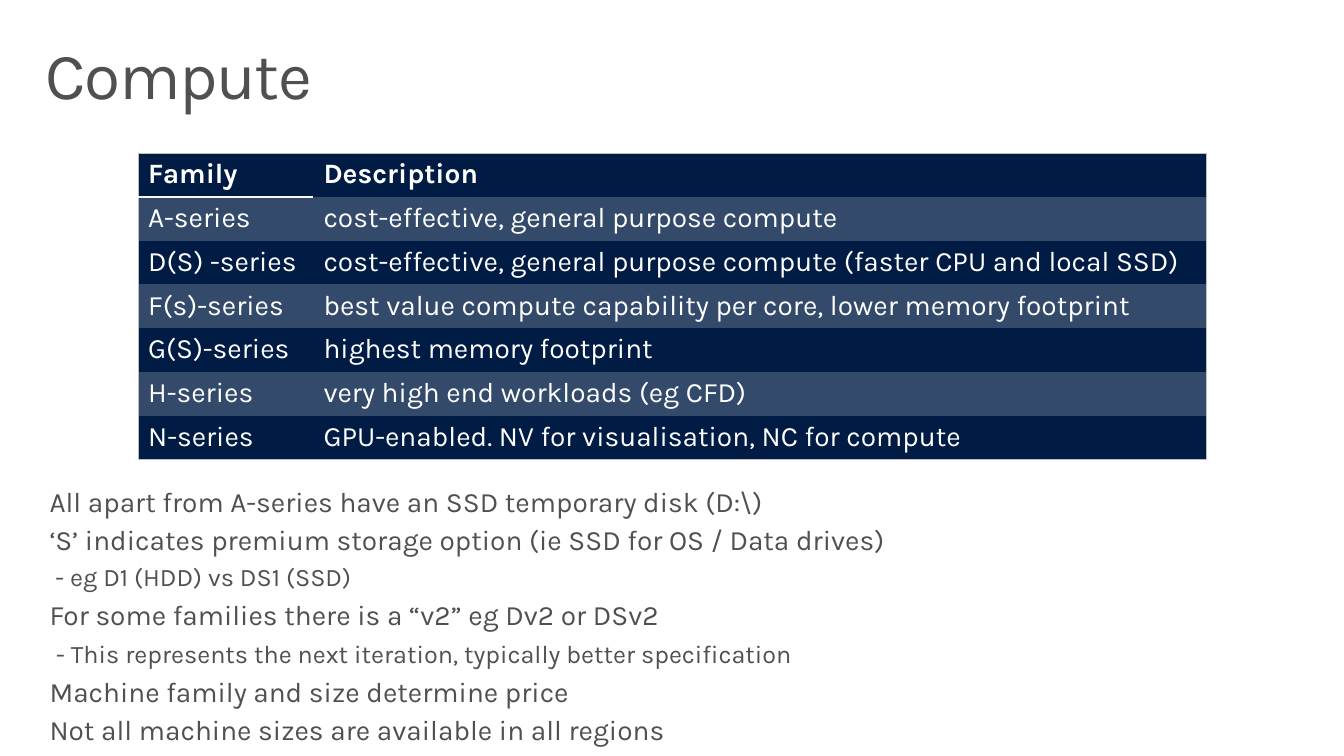
from dataclasses import dataclass

from lxml import etree
from pptx import Presentation
from pptx.dml.color import RGBColor
from pptx.enum.text import MSO_ANCHOR, MSO_AUTO_SIZE
from pptx.oxml.ns import qn
from pptx.util import Pt

TOP = MSO_ANCHOR.TOP
GROW = MSO_AUTO_SIZE.SHAPE_TO_FIT_TEXT
FACE = "Karla"
HUES = {"text": "505050", "white": "FFFFFF", "navy": "001C45",
        "slate": "334A6B", "frame": "BDBDC2", "rule": "F9F9F9"}
WIDTHS = (125.3, 637.9)
ROW = 30.6


@dataclass
class Box:
    left: float
    top: float
    width: float
    height: float


@dataclass
class Line:
    text: str
    size: float = 20
    lead: str = ""
    after: float = 6
    track: int = 0


@dataclass
class Edge:
    hue: str
    width: float


FRAME = Edge("frame", 0.75)
RULE = Edge("rule", 1.35)

ROWS = [
    ("Family", "Description"),
    ("A-series", "cost-effective, general purpose compute"),
    ("D(S) -series", "cost-effective, general purpose compute (faster CPU and local SSD)"),
    ("F(s)-series", "best value compute capability per core, lower memory footprint"),
    ("G(S)-series", "highest memory footprint"),
    ("H-series", "very high end workloads (eg CFD)"),
    ("N-series", "GPU-enabled. NV for visualisation, NC for compute"),
]
TITLE = [Line("Compute", 47, after=0, track=-100)]
NOTES = [
    Line("All apart from A-series have an SSD temporary disk (D:\\)"),
    Line("‘S’ indicates premium storage option (ie SSD for OS / Data drives)"),
    Line(" - eg D1 (HDD) vs DS1 (SSD)", 18),
    Line("For some families there is a “v2” eg Dv2 or DSv2"),
    Line("- This represents the next iteration, typically better specification", 18, " "),
    Line("Machine family and size determine price"),
    Line("Not all machine sizes are available in all regions"),
]


def color(name: str) -> RGBColor:
    return RGBColor.from_string(HUES[name])


def style(para, size: float, hue: str, bold: bool = False) -> None:
    font = para.font
    font.name, font.size, font.bold = FACE, Pt(size), bold
    font.color.rgb = color(hue)


def add_text(slide, box: Box, lines: list[Line], pad_x: float, pad_y: float):
    shape = slide.shapes.add_textbox(
        Pt(box.left), Pt(box.top), Pt(box.width), Pt(box.height))
    frame = shape.text_frame
    frame.word_wrap = True
    frame.vertical_anchor = TOP
    frame.margin_left = frame.margin_right = Pt(pad_x)
    frame.margin_top = frame.margin_bottom = Pt(pad_y)
    for i, line in enumerate(lines):
        para = frame.add_paragraph() if i else frame.paragraphs[0]
        para.line_spacing = 0.9
        para.space_after = Pt(line.after)
        style(para, line.size, "text")
        if line.lead:
            lead = para.add_run()
            lead.text = line.lead
            lead.font.size = Pt(20)
        run = para.add_run()
        run.text = line.text
        if line.track:
            run._r.get_or_add_rPr().set("spc", str(line.track))
    return frame


def set_edges(cell, edges: dict[str, Edge | None]) -> None:
    props = cell._tc.get_or_add_tcPr()
    for i, (side, edge) in enumerate(edges.items()):
        node = etree.Element(qn(f"a:ln{side}"))
        if edge:
            node.set("w", str(Pt(edge.width)))
            fill = etree.SubElement(node, qn("a:solidFill"))
            etree.SubElement(fill, qn("a:srgbClr"), val=HUES[edge.hue])
        else:
            node.set("w", "0")
            etree.SubElement(node, qn("a:noFill"))
        props.insert(i, node)


def add_grid(slide, left: float, top: float) -> None:
    grid = slide.shapes.add_table(
        len(ROWS), len(WIDTHS), Pt(left), Pt(top),
        Pt(sum(WIDTHS)), Pt(ROW * len(ROWS))).table
    for col, width in zip(grid.columns, WIDTHS):
        col.width = Pt(width)
    last = len(ROWS) - 1
    for r, texts in enumerate(ROWS):
        grid.rows[r].height = Pt(ROW)
        for c, text in enumerate(texts):
            cell = grid.cell(r, c)
            cell.text = text
            style(cell.text_frame.paragraphs[0], 20, "white", r == 0)
            cell.fill.solid()
            cell.fill.fore_color.rgb = color("slate" if r % 2 else "navy")
            rule = RULE if c == 0 else None
            set_edges(cell, {
                "L": FRAME if c == 0 else None,
                "R": FRAME if c == 1 else None,
                "T": FRAME if r == 0 else rule if r == 1 else None,
                "B": FRAME if r == last else rule if r == 0 else None,
            })


def main() -> None:
    deck = Presentation()
    deck.slide_width, deck.slide_height = Pt(960), Pt(540)
    slide = deck.slides.add_slide(deck.slide_layouts[6])
    add_text(slide, Box(21, 23, 918, 70.6), TITLE, 11.5, 7.2)
    add_grid(slide, 98.6, 109.4)
    notes = add_text(slide, Box(21, 337, 892, 210), NOTES, 14.4, 11.5)
    notes.auto_size = GROW
    deck.save("out.pptx")


if __name__ == "__main__":
    main()
